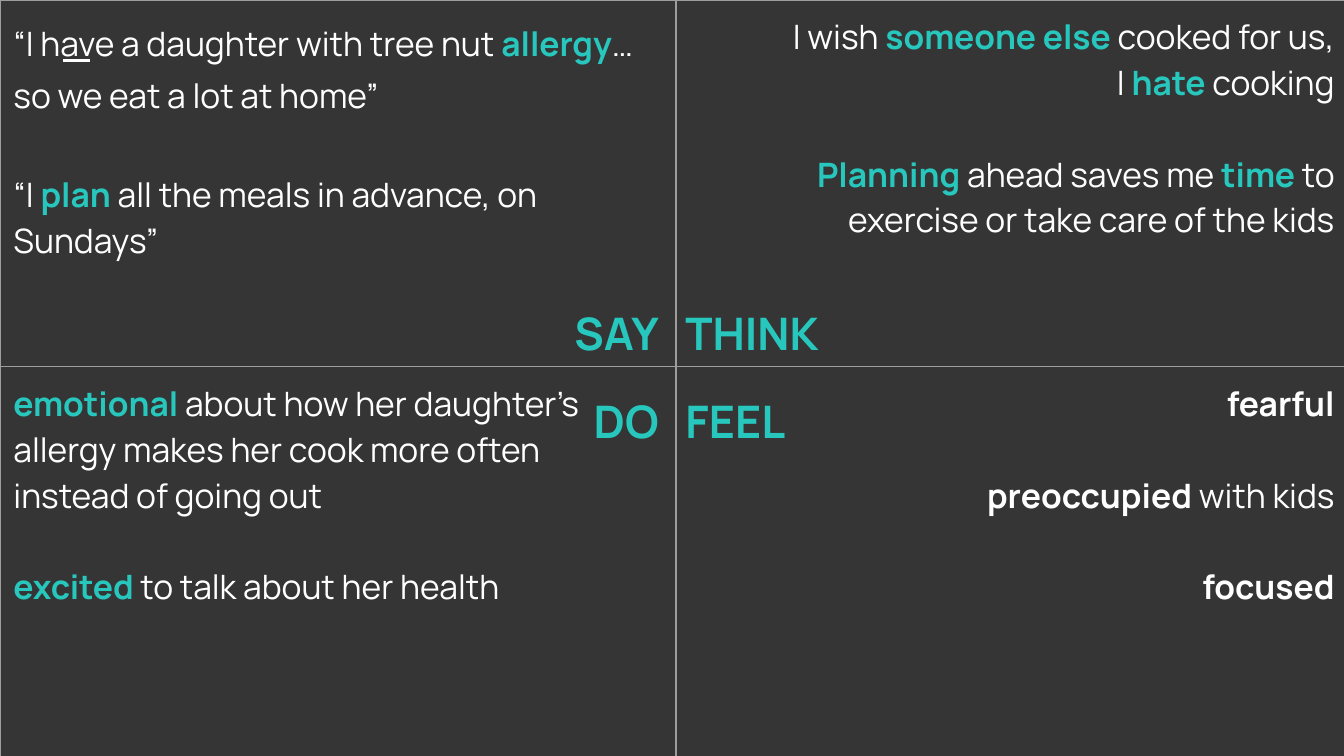
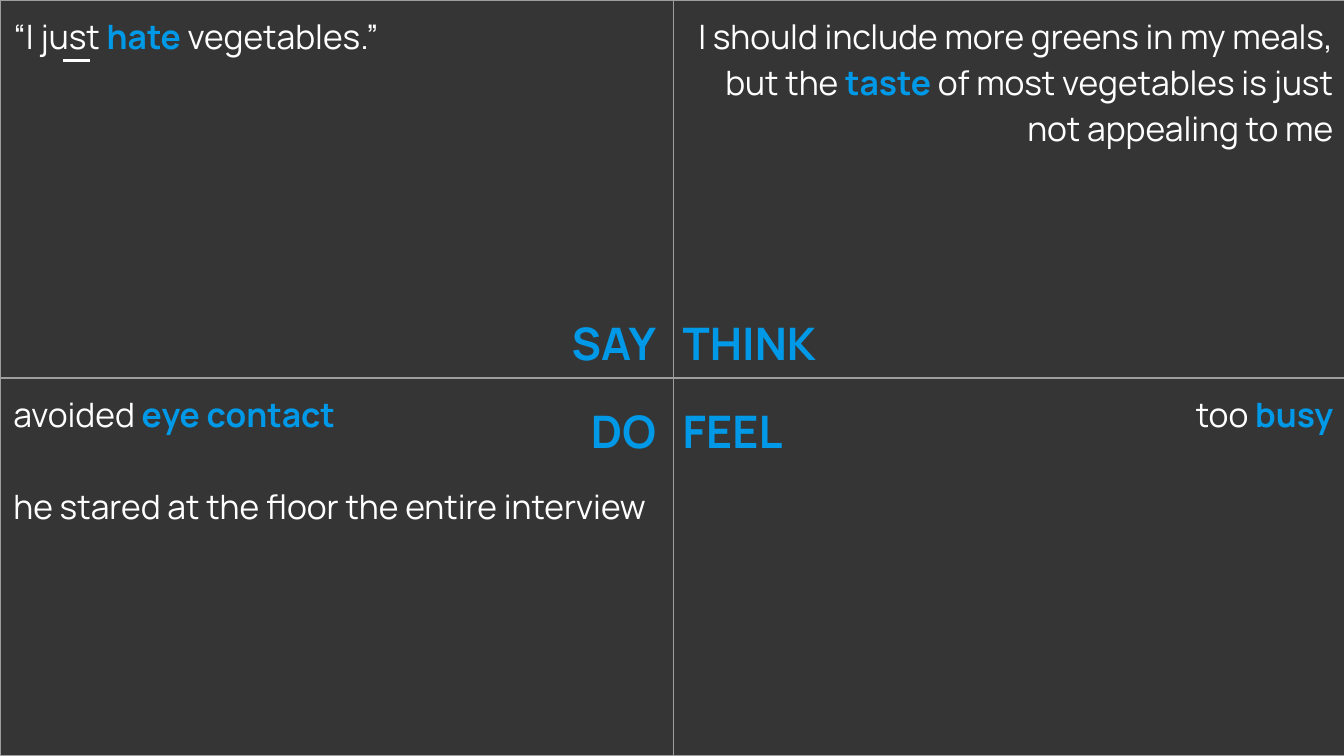
from dataclasses import dataclass

from lxml.etree import SubElement
from pptx import Presentation
from pptx.dml.color import RGBColor
from pptx.enum.shapes import MSO_CONNECTOR
from pptx.enum.text import PP_ALIGN
from pptx.oxml.ns import qn
from pptx.util import Inches, Pt


@dataclass(frozen=True)
class Theme:
    font: str = "Manrope"
    background: str = "353535"
    text: str = "FFFFFF"
    border: str = "9E9E9E"
    teal: str = "27C7BD"
    blue: str = "0099E8"
    body_size: float = 18
    label_size: float = 24
    border_width: float = 0.75
    accent_width: float = 1.5
    paragraph_gap: float = 24.6
    loose_gap: float = 28.3
    cell_margin: float = 0.1


@dataclass(frozen=True)
class Entry:
    text: str
    gap: float = 0
    line_spacing: float = 1.0


THEME = Theme()
SLIDE_WIDTH = 10
SLIDE_HEIGHT = SLIDE_WIDTH * 9 / 16
LABELS = (("SAY", "THINK"), ("DO", "FEEL"))
LEFT_RIGHT = (PP_ALIGN.LEFT, PP_ALIGN.RIGHT)
RIGHT_LEFT = (PP_ALIGN.RIGHT, PP_ALIGN.LEFT)


def spaced(text):
    return Entry(text, THEME.paragraph_gap)


def set_borders(cell, color):
    properties = cell._tc.get_or_add_tcPr()
    for side in ("a:lnL", "a:lnR", "a:lnT", "a:lnB"):
        line = SubElement(properties, qn(side), w=str(Pt(THEME.border_width)))
        if color:
            fill = SubElement(line, qn("a:solidFill"))
            SubElement(fill, qn("a:srgbClr"), val=color)
        else:
            SubElement(line, qn("a:noFill"))


def add_grid(slide, left, top, columns, rows, border=None):
    frame = slide.shapes.add_table(
        len(rows), len(columns), Inches(left), Inches(top),
        Inches(sum(columns)), Inches(sum(rows)),
    )
    table = frame.table
    table.first_row = False
    table.horz_banding = False
    for column, width in zip(table.columns, columns):
        column.width = Inches(width)
    for row, height in zip(table.rows, rows):
        row.height = Inches(height)
    for cell in table.iter_cells():
        margin = Inches(THEME.cell_margin)
        cell.margin_left = cell.margin_right = margin
        cell.margin_top = cell.margin_bottom = margin
        set_borders(cell, border)
        cell.fill.background()
    return table


def write_paragraph(paragraph, entry, alignment, size, emphasis):
    paragraph.alignment = alignment
    paragraph.space_before = Pt(entry.gap)
    paragraph.line_spacing = entry.line_spacing
    paragraph.font.name = THEME.font
    paragraph.font.size = Pt(size)
    for index, part in enumerate(entry.text.split("*")):
        if part:
            emphasized = index % 2 == 1
            run = paragraph.add_run()
            run.text = part
            run.font.bold = emphasized
            color = emphasis if emphasized else THEME.text
            run.font.color.rgb = RGBColor.from_string(color)


def write_cell(cell, entries, alignment, size, emphasis):
    frame = cell.text_frame
    for index, entry in enumerate(entries):
        paragraph = frame.add_paragraph() if index else frame.paragraphs[0]
        write_paragraph(paragraph, entry, alignment, size, emphasis)


def add_accent_line(slide):
    line = slide.shapes.add_connector(
        MSO_CONNECTOR.STRAIGHT,
        Inches(0.47), Inches(0.45), Inches(0.67), Inches(0.45),
    )
    line.line.color.rgb = RGBColor.from_string(THEME.text)
    line.line.width = Pt(THEME.accent_width)
    SubElement(line._element.spPr, qn("a:effectLst"))


def add_quadrants(slide, columns, rows, quadrants, colors):
    table = add_grid(slide, 0, 0, columns, rows, THEME.border)
    for row, (entries_row, color_row) in enumerate(zip(quadrants, colors)):
        for column, entries in enumerate(entries_row):
            write_cell(table.cell(row, column), entries, LEFT_RIGHT[column],
                       THEME.body_size, color_row[column])


def add_labels(slide, left, top, color):
    table = add_grid(slide, left, top, (1.36, 1.39), (0.42, 0.42))
    for row, names in enumerate(LABELS):
        for column, name in enumerate(names):
            write_cell(table.cell(row, column), [Entry(f"*{name}*")],
                       RIGHT_LEFT[column], THEME.label_size, color)


def add_empathy_slide(presentation, columns, rows, quadrants, colors,
                      label_position, label_color):
    slide = presentation.slides.add_slide(presentation.slide_layouts[6])
    add_accent_line(slide)
    add_quadrants(slide, columns, rows, quadrants, colors)
    add_labels(slide, *label_position, label_color)


def add_parent_slide(presentation):
    say = [
        Entry("“I have a daughter with tree nut *allergy*…so we eat a lot at home”",
              line_spacing=1.15),
        Entry("“I *plan* all the meals in advance, on Sundays”", THEME.loose_gap),
    ]
    think = [
        Entry("I wish *someone else* cooked for us,"),
        Entry("I *hate* cooking"),
        spaced("*Planning* ahead saves me *time* to exercise or take care of the kids"),
    ]
    do = [
        Entry("*emotional* about how her daughter’s allergy makes her "
              "cook more often instead of going out"),
        spaced("*excited* to talk about her health"),
    ]
    feel = [
        Entry("*fearful*"),
        spaced("*preoccupied* with kids"),
        spaced("*focused*"),
    ]
    add_empathy_slide(
        presentation, (5.03, 5), (2.73, 2.9), ((say, think), (do, feel)),
        ((THEME.teal, THEME.teal), (THEME.teal, THEME.text)),
        (3.64, 2.15), THEME.teal,
    )


def add_vegetable_slide(presentation):
    say = [Entry("“I just *hate* vegetables.”")]
    think = [Entry("I should include more greens in my meals, but the *taste* "
                   "of most vegetables is just not appealing to me")]
    do = [
        Entry("avoided *eye contact*"),
        spaced("he stared at the floor the entire interview"),
    ]
    feel = [Entry("too *busy*")]
    half_height = SLIDE_HEIGHT / 2
    add_empathy_slide(
        presentation, (5.01, 5.01), (half_height, half_height),
        ((say, think), (do, feel)),
        ((THEME.blue, THEME.blue), (THEME.blue, THEME.blue)),
        (3.62, 2.23), THEME.blue,
    )


def main():
    presentation = Presentation()
    presentation.slide_width = Inches(SLIDE_WIDTH)
    presentation.slide_height = Inches(SLIDE_HEIGHT)
    background = presentation.slide_master.background.fill
    background.solid()
    background.fore_color.rgb = RGBColor.from_string(THEME.background)
    add_parent_slide(presentation)
    add_vegetable_slide(presentation)
    presentation.save("out.pptx")


if __name__ == "__main__":
    main()
